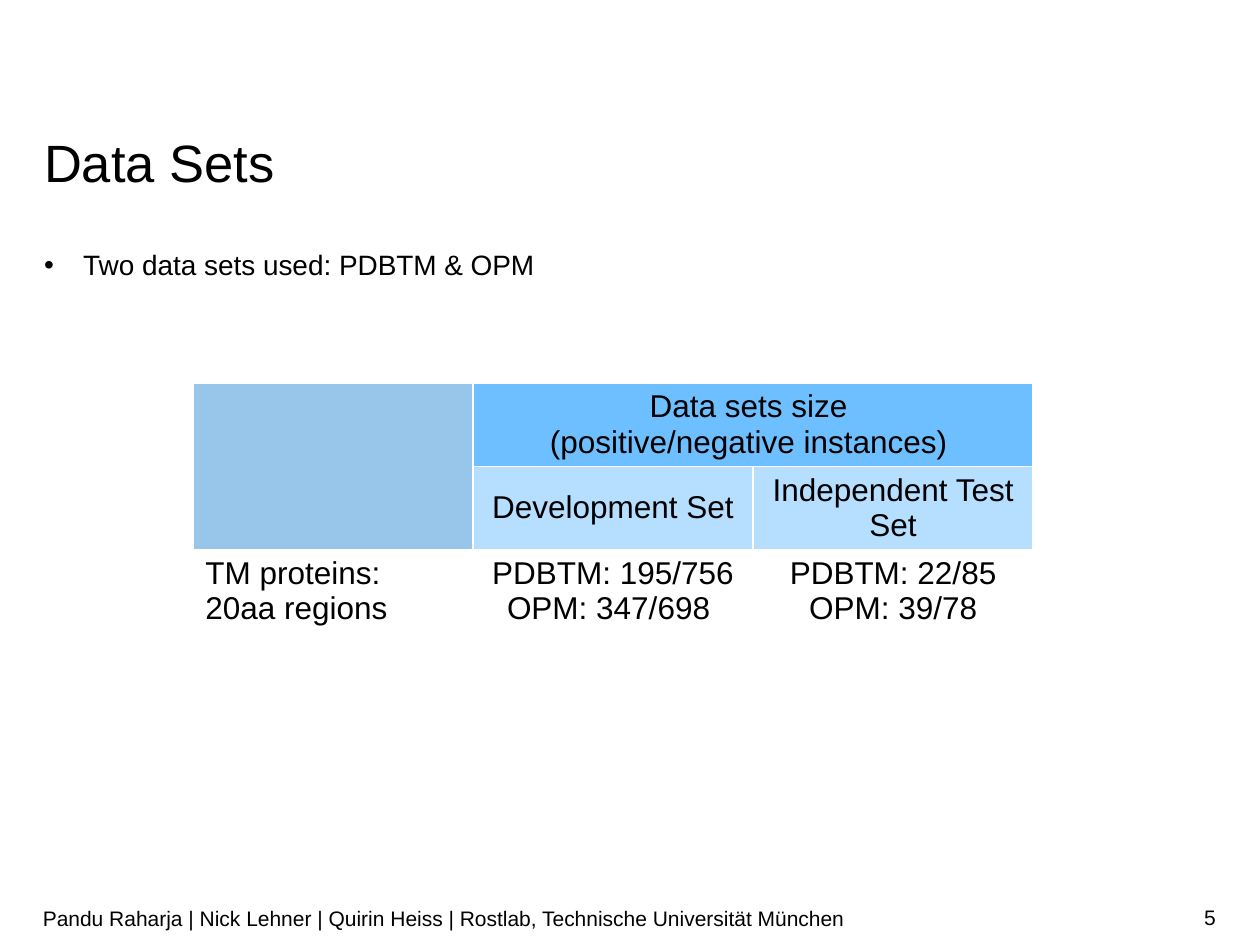
from lxml.etree import SubElement
from pptx import Presentation
from pptx.dml.color import RGBColor
from pptx.enum.text import MSO_ANCHOR, MSO_AUTO_SIZE, PP_ALIGN
from pptx.oxml.ns import qn
from pptx.util import Inches, Pt

COLORS = {
    "text": "000000",
    "corner": "98C6EA",
    "header": "6EBFFF",
    "subheader": "B6DFFF",
}


def place(shape, left, top, width, height):
    shape.left, shape.top = Inches(left), Inches(top)
    shape.width, shape.height = Inches(width), Inches(height)


def write(frame, text, size, align=PP_ALIGN.LEFT, anchor=MSO_ANCHOR.TOP, spacing=None):
    """Fill a text frame with one formatted paragraph; newlines become line breaks."""
    frame.word_wrap = True
    frame.vertical_anchor = anchor
    para = frame.paragraphs[0]
    para.text = text
    para.alignment = align
    para.space_before = Pt(0)
    if spacing:
        para.line_spacing = spacing
    for span in para.runs:
        span.font.name = "Arial"
        span.font.size = Pt(size)
        span.font.bold = False
        span.font.color.rgb = RGBColor.from_string(COLORS["text"])
    return para


def set_margins(frame, vertical=0):
    frame.margin_left = frame.margin_right = 0
    frame.margin_top = frame.margin_bottom = Inches(vertical)


def add_bullet(para, indent):
    properties = para._p.get_or_add_pPr()
    properties.set("marL", str(Inches(indent)))
    properties.set("indent", str(-Inches(indent)))
    SubElement(properties, qn("a:buFont"), typeface="Arial")
    SubElement(properties, qn("a:buChar"), char="•")


def add_footer(page, text, left, top, width, height, align=PP_ALIGN.LEFT):
    box = page.shapes.add_textbox(Inches(left), Inches(top), Inches(width), Inches(height))
    set_margins(box.text_frame, vertical=0.05)
    write(box.text_frame, text, 12, align=align, anchor=MSO_ANCHOR.MIDDLE)


def fill_cell(cell, text="", color=None, align=PP_ALIGN.CENTER):
    if color:
        cell.fill.solid()
        cell.fill.fore_color.rgb = RGBColor.from_string(COLORS[color])
    else:
        cell.fill.background()
    cell.vertical_anchor = MSO_ANCHOR.MIDDLE
    if text:
        write(cell.text_frame, text, 18, align=align, anchor=None)


def add_size_table(page):
    table = page.shapes.add_table(
        3, 3, Inches(1.53), Inches(3.04), Inches(6.67), Inches(1.98)
    ).table
    table.first_row = table.horz_banding = False
    rows = [
        [("", "corner"), ("Data sets size \n(positive/negative instances) ", "header"), ("", "header")],
        [("", "corner"), ("Development Set", "subheader"), ("Independent Test Set", "subheader")],
        [("TM proteins:\n20aa regions", None), ("PDBTM: 195/756\nOPM: 347/698 ", None),
         ("PDBTM: 22/85\nOPM: 39/78", None)],
    ]
    for row, entries in enumerate(rows):
        for column, (text, color) in enumerate(entries):
            align = PP_ALIGN.CENTER if column else PP_ALIGN.LEFT
            fill_cell(table.cell(row, column), text, color, align)
    table.cell(0, 0).merge(table.cell(1, 0))
    table.cell(0, 1).merge(table.cell(0, 2))


def main():
    deck = Presentation()
    deck.slide_width, deck.slide_height = Inches(10), Inches(7.5)
    page = deck.slides.add_slide(deck.slide_layouts[1])

    # Title
    title = page.shapes.title
    place(title, 0.35, 1.09, 9.31, 0.46)
    set_margins(title.text_frame)
    title.text_frame.auto_size = MSO_AUTO_SIZE.SHAPE_TO_FIT_TEXT
    write(title.text_frame, "Data Sets", 30, spacing=Pt(32))

    # Bullet list
    body = page.placeholders[1]
    place(body, 0.35, 1.93, 9.31, 5.14)
    set_margins(body.text_frame)
    body.text_frame.auto_size = MSO_AUTO_SIZE.NONE
    para = write(body.text_frame, "Two data sets used: PDBTM & OPM", 16, spacing=1.14)
    add_bullet(para, 0.31)

    # Table of data set sizes
    add_size_table(page)

    # Footer and page number
    add_footer(
        page,
        "Pandu Raharja | Nick Lehner | Quirin Heiss | Rostlab, Technische Universität München",
        0.34, 7.08, 8.56, 0.42,
    )
    add_footer(page, "5", 7.41, 7.08, 2.24, 0.4, align=PP_ALIGN.RIGHT)

    deck.save("out.pptx")


if __name__ == "__main__":
    main()
